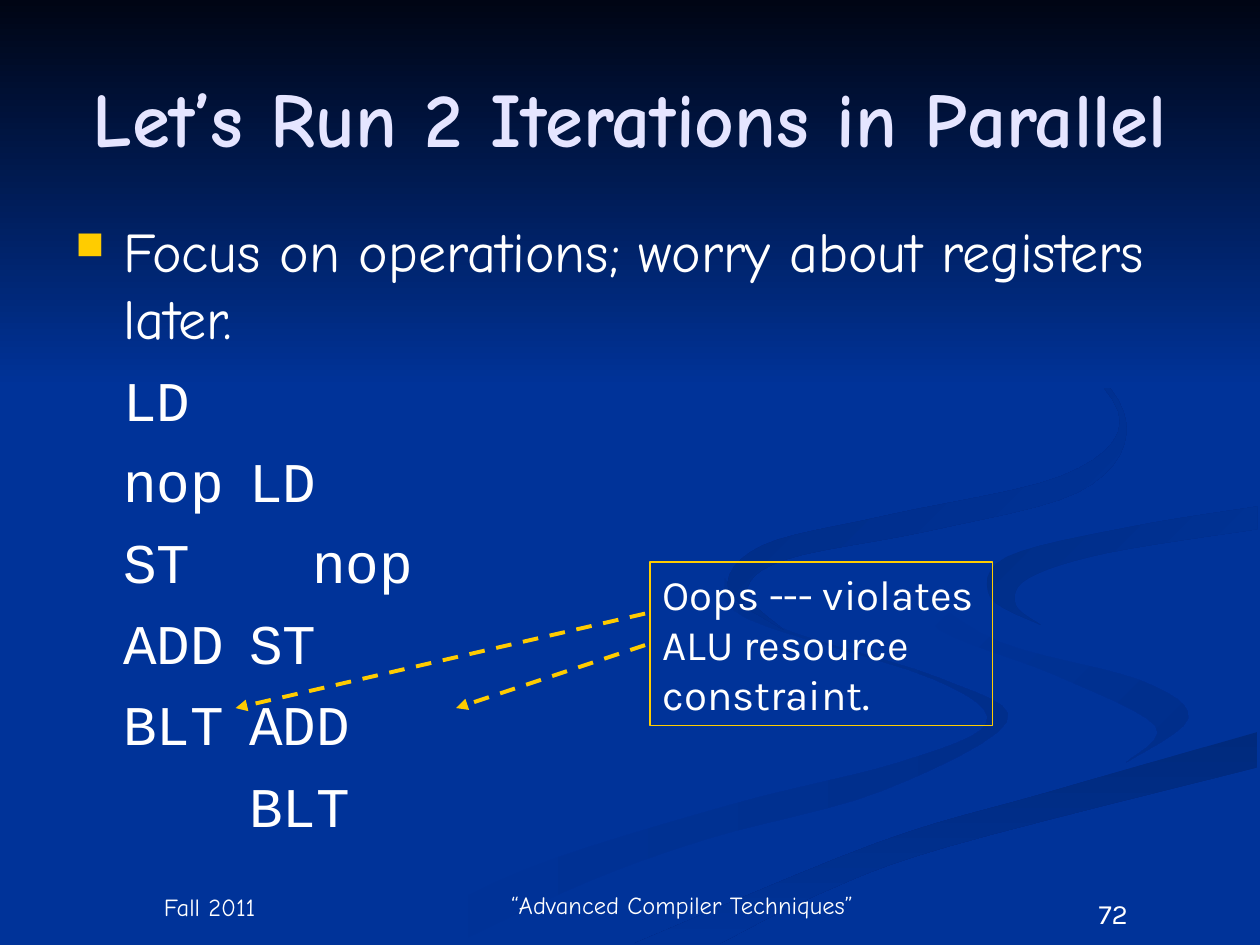
from lxml import etree
from pptx import Presentation
from pptx.dml.color import RGBColor
from pptx.enum.dml import MSO_LINE
from pptx.enum.shapes import MSO_CONNECTOR, MSO_SHAPE
from pptx.enum.text import MSO_ANCHOR, PP_ALIGN
from pptx.oxml.ns import qn
from pptx.util import Inches, Pt

DASH = MSO_LINE.DASH
STRAIGHT = MSO_CONNECTOR.STRAIGHT
RECTANGLE = MSO_SHAPE.RECTANGLE
TOP, MIDDLE, BOTTOM = MSO_ANCHOR.TOP, MSO_ANCHOR.MIDDLE, MSO_ANCHOR.BOTTOM
LEFT, CENTER = PP_ALIGN.LEFT, PP_ALIGN.CENTER

COLORS = {
    "background": "003399",
    "night": "000514",
    "title": "E5E5FF",
    "text": "FFFFFF",
    "accent": "FFCC00",
    "shade_left": "002E8B",
    "shade_low": "002A7D",
    "shade_right": "002D86",
    "shade_top": "002B82",
}
HAND, MONO, SANS = "Comic Neue", "Courier New", "Karla"

TITLE = "Let’s Run 2 Iterations in Parallel"
FOCUS = "Focus on operations; worry about registers later."
SCHEDULE = ["\tLD", "\tnop\tLD", "\tST\t\tnop", "\tADD\tST", "\tBLT\tADD", "\t\t\tBLT"]
CALLOUT = ["Oops --- violates", "ALU resource", "constraint."]
FOOTERS = [
    ("Fall 2011", (0.5, 7, 2.33, 0.36), 14, HAND, BOTTOM),
    ("“Advanced Compiler Techniques”", (3.83, 7, 3.17, 0.35), 14, HAND, BOTTOM),
    ("72", (8, 7.07, 1.67, 0.4), 16, SANS, TOP),
]
ARROWS = [((5.12, 5.12), (3.62, 5.62)), ((5.12, 4.87), (1.87, 5.62))]

# Start colour, end colour, angle, then the two edges of each ribbon in inches
RIBBONS = [
    ("background", "shade_left", 0,
     [(5.75, 4.59), (6.14, 4.96), (7.45, 5.38), (7.99, 5.73), (6.99, 6.28), (5.64, 6.65),
      (4.66, 7), (3.61, 7.49)],
     [(5.75, 4.59), (5.93, 4.91), (7.41, 5.39), (7.83, 5.74), (7.14, 6.05), (5.79, 6.39),
      (4.17, 6.9), (3, 7.49)]),
    ("background", "shade_left", 45,
     [(7.24, 4.64), (7.92, 5.09), (9.05, 5.4), (9.43, 5.7), (8.94, 6.05)],
     [(7.24, 4.64), (7.46, 5), (8.38, 5.36), (9.17, 5.76), (8.94, 6.05)]),
    ("shade_low", "background", 90,
     [(5.03, 7.49), (6.96, 6.69), (8.31, 6.29), (9.98, 5.81)],
     [(5.71, 7.49), (6.49, 7.1), (7.52, 6.72), (9.98, 6.09)]),
    ("shade_right", "background", 45,
     [(9.98, 4.02), (8.98, 4.18), (7.99, 4.42), (7.86, 4.74), (8.26, 4.96)],
     [(9.98, 4.2), (8.78, 4.39), (8.16, 4.59), (8.06, 4.8), (8.26, 4.96)]),
    ("shade_top", "background", 45,
     [(7.62, 2.33), (8.46, 2.79), (8.89, 3.35), (8.42, 3.78), (7.04, 4.09), (6.05, 4.33),
      (5.78, 4.68), (6.22, 5)],
     [(7.62, 2.33), (8.64, 2.91), (8.94, 3.44), (8.55, 3.91), (7.39, 4.21), (6.24, 4.44),
      (5.93, 4.7), (6.22, 5)]),
]
CURVE_STEPS = 6


def color(name):
    return RGBColor.from_string(COLORS[name])


def blend(a, b, c, d, t):
    return b + t * (c - a + t * (2 * a - 5 * b + 4 * c - d + t * (3 * (b - c) + d - a))) / 2


def smooth(edge):
    padded = [edge[0], *edge, edge[-1]]
    curve = []
    for window in zip(padded, padded[1:], padded[2:], padded[3:]):
        for step in range(CURVE_STEPS):
            curve.append(tuple(blend(*axis, step / CURVE_STEPS) for axis in zip(*window)))
    return curve + [edge[-1]]


def paint_gradient(shape, start, end, angle):
    shape.shadow.inherit = False
    shape.line.fill.background()
    shape.fill.gradient()
    shape.fill.gradient_angle = (360 - angle) % 360
    for stop, name in zip(shape.fill.gradient_stops, (start, end)):
        stop.color.rgb = color(name)


def add_ribbon(slide, start, end, angle, near_edge, far_edge):
    outline = smooth(near_edge) + smooth(far_edge)[::-1]
    points = [(Inches(x), Inches(y)) for x, y in outline]
    builder = slide.shapes.build_freeform(*points[0])
    builder.add_line_segments(points[1:], close=True)
    paint_gradient(builder.convert_to_shape(), start, end, angle)


def style(paragraph, size, font, name="text", bold=False, align=LEFT):
    paragraph.alignment = align
    paragraph.font.size = Pt(size)
    paragraph.font.name = font
    paragraph.font.bold = bold
    paragraph.font.color.rgb = color(name)


def fill_text(frame, lines):
    for index, line in enumerate(lines):
        paragraph = frame.add_paragraph() if index else frame.paragraphs[0]
        paragraph.add_run().text = line
    return frame.paragraphs


def add_text(slide, place, lines, anchor=TOP):
    frame = slide.shapes.add_textbox(*map(Inches, place)).text_frame
    frame.word_wrap = True
    frame.vertical_anchor = anchor
    return fill_text(frame, lines)


def add_body(slide):
    paragraphs = add_text(slide, (0.5, 1.67, 9, 5.25), [FOCUS] + SCHEDULE)
    for index, paragraph in enumerate(paragraphs):
        paragraph.line_spacing = Pt(38.4)
        if index:
            paragraph.space_before = Pt(8)
        properties = paragraph._p.get_or_add_pPr()
        properties.set("marL", str(Inches(0.38)))
        properties.set("indent", str(-Inches(0.38)))
        if index:
            etree.SubElement(properties, qn("a:buNone"))
            tabs = etree.SubElement(properties, qn("a:tabLst"))
            for stop in range(8):
                etree.SubElement(tabs, qn("a:tab"), pos=str(Inches(stop)), algn="l")
        else:
            bullet = etree.SubElement(properties, qn("a:buClr"))
            etree.SubElement(bullet, qn("a:srgbClr"), val=COLORS["accent"])
            etree.SubElement(properties, qn("a:buSzPct"), val="70000")
            etree.SubElement(properties, qn("a:buChar"), char="■")
        style(paragraph, 32, MONO if index else HAND)


def add_callout(slide):
    shape = slide.shapes.add_shape(RECTANGLE, *map(Inches, (5.16, 4.46, 2.72, 1.3)))
    shape.shadow.inherit = False
    shape.fill.background()
    shape.line.color.rgb = color("accent")
    shape.line.width = Pt(0.75)
    shape.text_frame.word_wrap = False
    shape.text_frame.vertical_anchor = TOP
    for paragraph in fill_text(shape.text_frame, CALLOUT):
        paragraph.line_spacing = Pt(28.8)
        style(paragraph, 24, SANS)


def add_arrow(slide, start, end):
    arrow = slide.shapes.add_connector(STRAIGHT, *map(Inches, start + end))
    arrow.line.color.rgb = color("accent")
    arrow.line.width = Pt(2.25)
    arrow.line.dash_style = DASH
    etree.SubElement(arrow.line._get_or_add_ln(), qn("a:tailEnd"), type="triangle")
    etree.SubElement(arrow._element.spPr, qn("a:effectLst"))


def main():
    presentation = Presentation()
    presentation.slide_width, presentation.slide_height = Inches(10), Inches(7.5)
    slide = presentation.slides.add_slide(presentation.slide_layouts[6])
    slide.background.fill.solid()
    slide.background.fill.fore_color.rgb = color("background")
    for ribbon in RIBBONS:
        add_ribbon(slide, *ribbon)
    sky = slide.shapes.add_shape(RECTANGLE, 0, 0, Inches(10), Inches(3.08))
    paint_gradient(sky, "night", "background", 90)
    for text, place, size, font, anchor in FOOTERS:
        style(add_text(slide, place, [text], anchor)[0], size, font, align=CENTER)
    title = add_text(slide, (0.5, 0.3, 9, 1.25), [TITLE], MIDDLE)[0]
    style(title, 44, HAND, "title", True, CENTER)
    add_body(slide)
    add_callout(slide)
    for start, end in ARROWS:
        add_arrow(slide, start, end)
    presentation.save("out.pptx")


if __name__ == "__main__":
    main()
